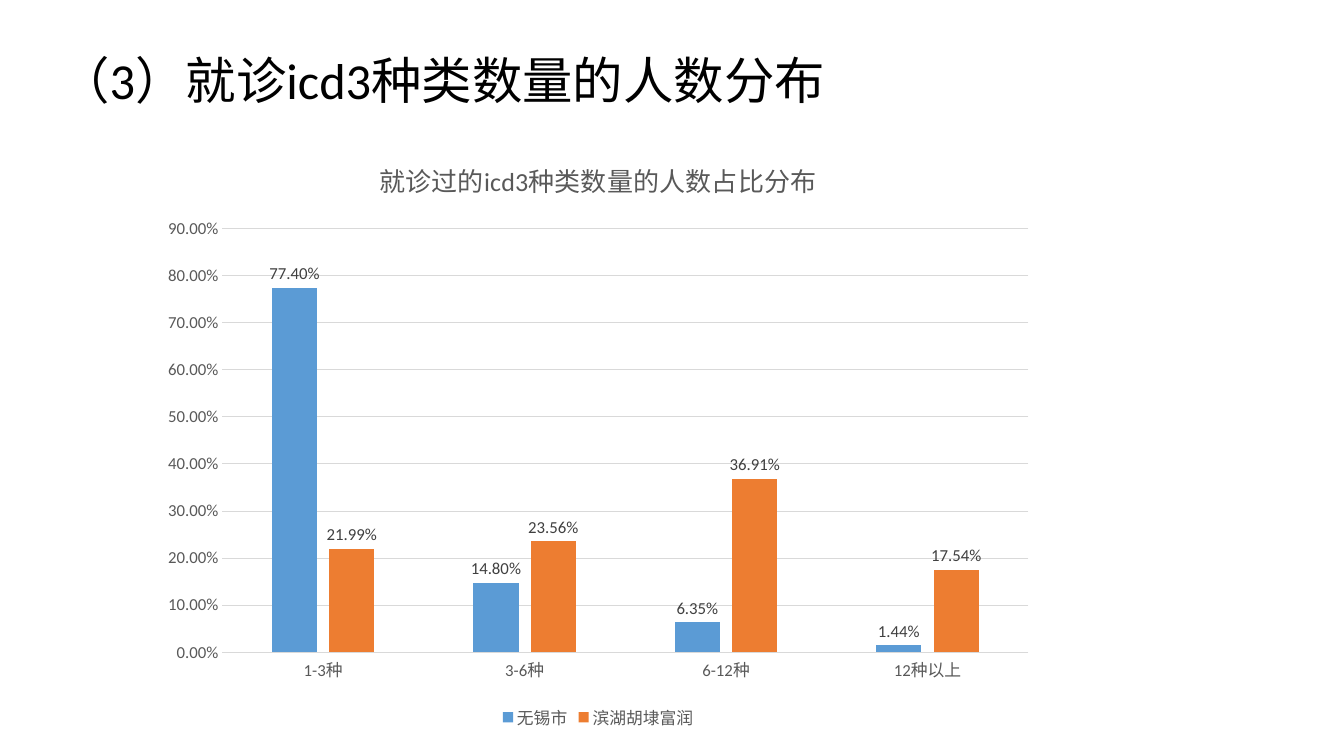
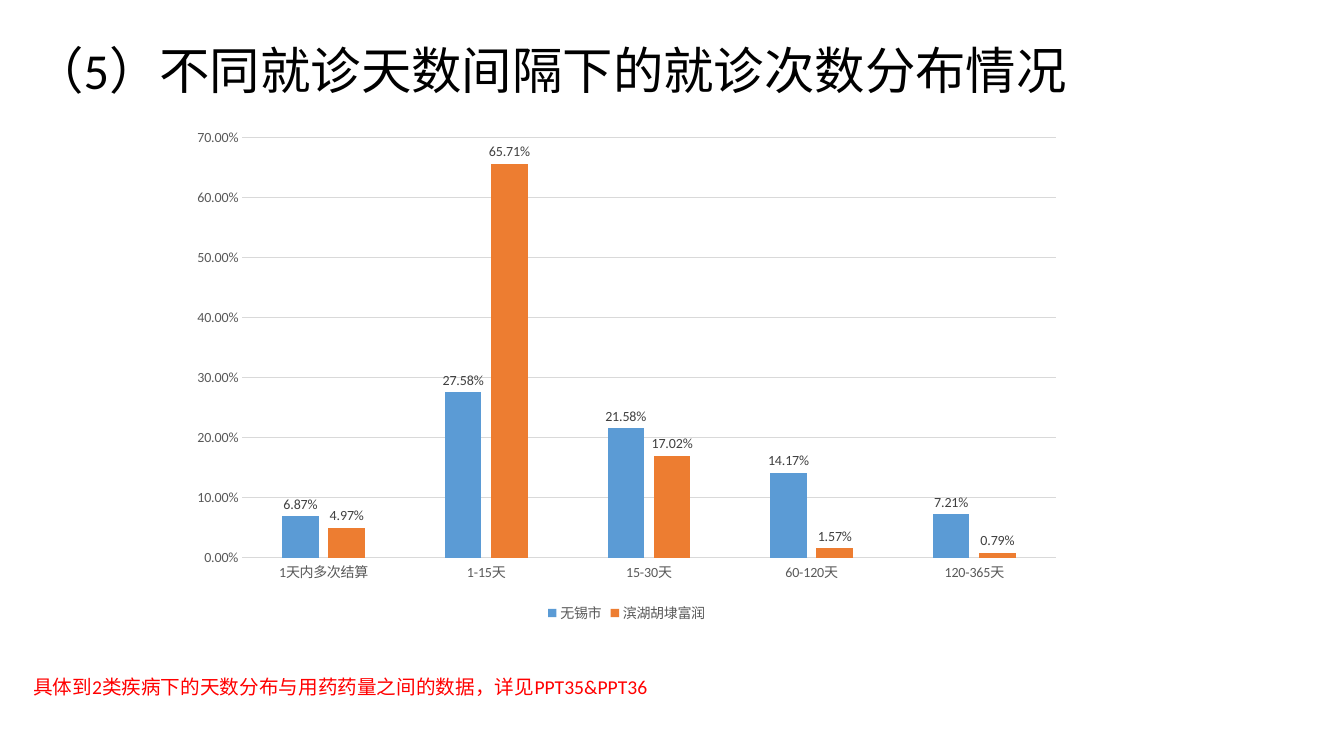
"""Build two slides that compare visit distributions in clustered column charts."""
from pptx import Presentation
from pptx.chart.data import CategoryChartData
from pptx.dml.color import RGBColor
from pptx.enum.chart import XL_CHART_TYPE as ChartType, XL_LABEL_POSITION as LabelPosition
from pptx.enum.chart import XL_LEGEND_POSITION as LegendPosition, XL_TICK_MARK as TickMark
from pptx.enum.text import MSO_ANCHOR as Anchor
from pptx.util import Pt

COLORS = {
    "title": "000000",
    "note": "FF0000",
    "axis": "595959",
    "label": "404040",
    "grid": "D9D9D9",
}
SERIES = {"无锡市": "5B9BD5", "滨湖胡埭富润": "ED7D31"}
FONT = "Calibri"
PERCENT = "0.00%"

SLIDES = [
    {
        "title": "（3）就诊icd3种类数量的人数分布",
        "title_box": (35.3, 28.8, 804.2, 61.9),
        "chart_box": (107.3, 97.2, 640, 427),
        "chart_title": "就诊过的icd3种类数量的人数占比分布",
        "size": 12,
        "maximum": 0.9,
        "categories": ["1-3种", "3-6种", "6-12种", "12种以上"],
        "values": [
            [0.774, 0.148, 0.0635, 0.0144],
            [0.2199, 0.2356, 0.3691, 0.1754],
        ],
    },
    {
        "title": "（5）不同就诊天数间隔下的就诊次数分布情况",
        "title_box": (16.6, 0, 884.2, 104.4),
        "chart_box": (128.2, 85.7, 638.6, 362.2),
        "size": 10,
        "maximum": 0.7,
        "categories": ["1天内多次结算", "1-15天", "15-30天", "60-120天", "120-365天"],
        "values": [
            [0.0687, 0.2758, 0.2158, 0.1417, 0.0721],
            [0.0497, 0.6571, 0.1702, 0.0157, 0.0079],
        ],
        "note": "具体到2类疾病下的天数分布与用药药量之间的数据，详见PPT35&PPT36",
        "note_box": (16.6, 466.6, 546.5, 50.4),
    },
]


def style_font(font, size, color):
    font.name = FONT
    font.size = Pt(size)
    font.bold = False
    font.color.rgb = RGBColor.from_string(COLORS[color])


def add_text(slide, text, box, size, color):
    text_frame = slide.shapes.add_textbox(*map(Pt, box)).text_frame
    text_frame.word_wrap = True
    text_frame.vertical_anchor = Anchor.MIDDLE
    text_frame.text = text
    paragraph = text_frame.paragraphs[0]
    paragraph.line_spacing = 0.9
    style_font(paragraph.runs[0].font, size, color)


presentation = Presentation()
presentation.slide_width = Pt(960)
presentation.slide_height = Pt(540)

for content in SLIDES:
    slide = presentation.slides.add_slide(presentation.slide_layouts[6])
    size = content["size"]
    add_text(slide, content["title"], content["title_box"], 36, "title")

    chart_data = CategoryChartData(number_format=PERCENT)
    chart_data.categories = content["categories"]
    for name, values in zip(SERIES, content["values"]):
        chart_data.add_series(name, values)
    chart = slide.shapes.add_chart(
        ChartType.COLUMN_CLUSTERED, *map(Pt, content["chart_box"]), chart_data
    ).chart
    style_font(chart.font, size, "axis")

    chart.has_title = "chart_title" in content
    if chart.has_title:
        title_frame = chart.chart_title.text_frame
        title_frame.text = content["chart_title"]
        style_font(title_frame.paragraphs[0].runs[0].font, 18.6, "axis")
        chart.chart_title.include_in_layout = False

    chart.has_legend = True
    chart.legend.position = LegendPosition.BOTTOM
    chart.legend.include_in_layout = False
    style_font(chart.legend.font, size, "axis")

    for axis in (chart.category_axis, chart.value_axis):
        axis.major_tick_mark = TickMark.NONE
        axis.minor_tick_mark = TickMark.NONE
        style_font(axis.tick_labels.font, size, "axis")
    value_axis = chart.value_axis
    value_axis.minimum_scale = 0
    value_axis.maximum_scale = content["maximum"]
    value_axis.major_unit = 0.1
    value_axis.tick_labels.number_format = PERCENT
    value_axis.tick_labels.number_format_is_linked = False
    value_axis.format.line.fill.background()
    for line in (chart.category_axis.format.line, value_axis.major_gridlines.format.line):
        line.width = Pt(0.75)
        line.color.rgb = RGBColor.from_string(COLORS["grid"])

    plot = chart.plots[0]
    plot.gap_width = 219
    plot.overlap = -27
    plot.vary_by_categories = False
    for series, color in zip(plot.series, SERIES.values()):
        series.format.fill.solid()
        series.format.fill.fore_color.rgb = RGBColor.from_string(color)
        labels = series.data_labels
        labels.show_value = True
        labels.position = LabelPosition.OUTSIDE_END
        labels.number_format = PERCENT
        labels.number_format_is_linked = False
        style_font(labels.font, size, "label")

    if "note" in content:
        add_text(slide, content["note"], content["note_box"], 14, "note")

presentation.save("out.pptx")
